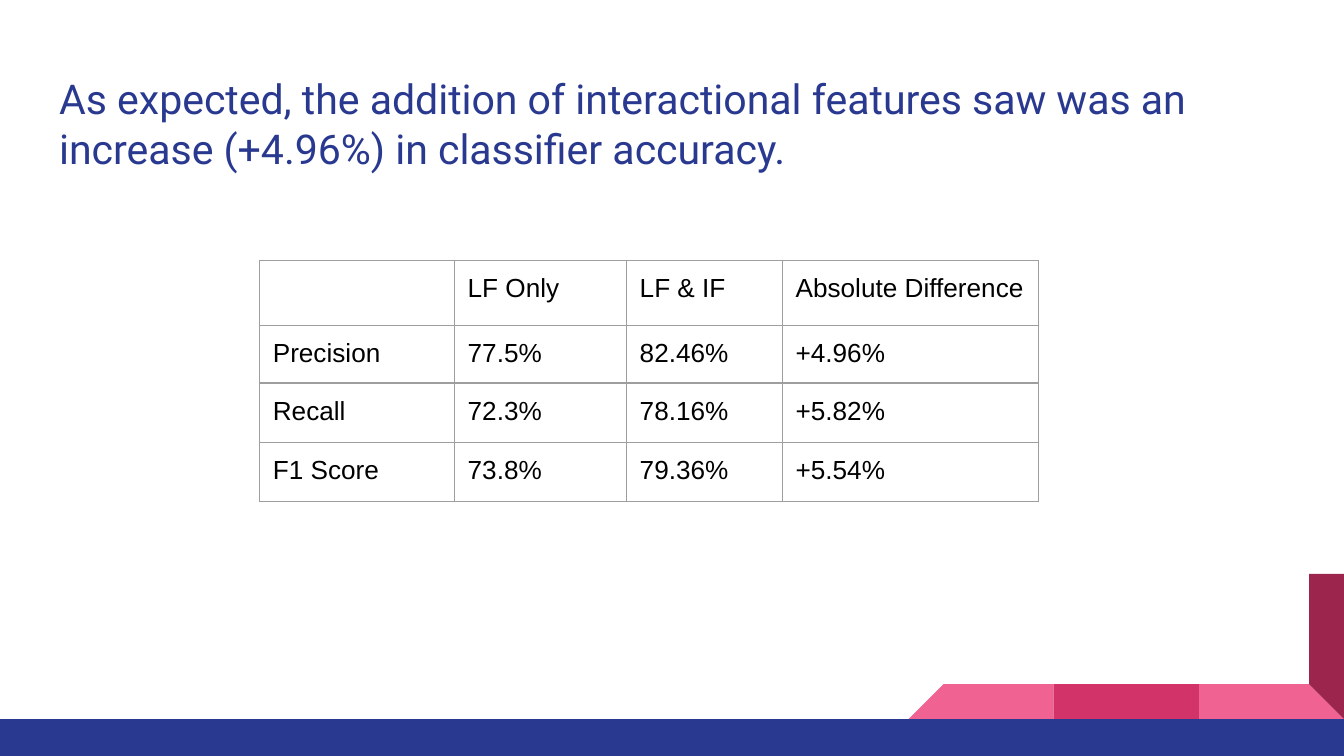
from lxml.etree import SubElement
from pptx import Presentation
from pptx.dml.color import RGBColor
from pptx.enum.shapes import MSO_SHAPE
from pptx.enum.text import MSO_ANCHOR, MSO_AUTO_SIZE, PP_ALIGN
from pptx.oxml.ns import qn
from pptx.util import Inches, Pt

HEADLINE = ("As expected, the addition of interactional features saw was an "
            "increase (+4.96%) in classifier accuracy.")
SCORES = [
    ["", "LF Only", "LF & IF", "Absolute Difference"],
    ["Precision", "77.5%", "82.46%", "+4.96%"],
    ["Recall", "72.3%", "78.16%", "+5.82%"],
    ["F1 Score", "73.8%", "79.36%", "+5.54%"],
]
COLUMN_WIDTHS = [1.45, 1.28, 1.16, 1.91]
ROW_HEIGHTS = [0.48, 0.43, 0.44, 0.44]
COLORS = {"navy": "2A3990", "pink": "F06292", "rose": "D23369", "wine": "9C254D",
          "white": "FFFFFF", "black": "000000", "border": "9E9E9E"}
SLIDE_WIDTH = 10
SLIDE_HEIGHT = SLIDE_WIDTH * 9 / 16
TILE, FOOTER_TOP = 1.08, 5.35
TILES = [
    (1, MSO_SHAPE.RIGHT_TRIANGLE, 0, "pink"),
    (3, MSO_SHAPE.RIGHT_TRIANGLE, 270, "pink"),
    (2, MSO_SHAPE.RECTANGLE, 0, "rose"),
    (1, MSO_SHAPE.RIGHT_TRIANGLE, 180, "wine"),
]


def rgb(name):
    return RGBColor.from_string(COLORS[name])


def add_block(slide, kind, box, color, rotation=0):
    block = slide.shapes.add_shape(kind, *map(Inches, box))
    block.shadow.inherit = False
    block.fill.solid()
    block.fill.fore_color.rgb = rgb(color)
    block.line.fill.background()
    block.rotation = rotation


def write(paragraph, text, font, size, color):
    run = paragraph.add_run()
    run.text = text
    run.font.name = font
    run.font.size = Pt(size)
    run.font.color.rgb = rgb(color)


def add_borders(cell):
    properties = cell._tc.get_or_add_tcPr()
    for position, side in enumerate(("lnL", "lnR", "lnT", "lnB")):
        edge = SubElement(properties, qn(f"a:{side}"), w=str(Pt(0.75)))
        fill = SubElement(edge, qn("a:solidFill"))
        SubElement(fill, qn("a:srgbClr"), val=COLORS["border"])
        properties.insert(position, edge)


def add_headline(slide):
    title = slide.shapes.title
    title.left, title.top, title.width, title.height = map(Inches, (0.34, 0.45, 9.32, 0.66))
    frame = title.text_frame
    frame.word_wrap = True
    frame.auto_size = MSO_AUTO_SIZE.NONE
    frame.vertical_anchor = MSO_ANCHOR.TOP
    frame.margin_left = frame.margin_right = Inches(0.1)
    frame.margin_top = frame.margin_bottom = Inches(0.1)
    frame.paragraphs[0].alignment = PP_ALIGN.LEFT
    write(frame.paragraphs[0], HEADLINE, "Roboto", 22, "navy")


def add_scores(slide):
    size = (sum(COLUMN_WIDTHS), sum(ROW_HEIGHTS))
    table = slide.shapes.add_table(len(SCORES), len(COLUMN_WIDTHS),
                                   *map(Inches, (1.93, 1.94, *size))).table
    table.first_row = table.horz_banding = False
    for column, width in zip(table.columns, COLUMN_WIDTHS):
        column.width = Inches(width)
    for row, height, values in zip(table.rows, ROW_HEIGHTS, SCORES):
        row.height = Inches(height)
        for cell, value in zip(row.cells, values):
            cell.fill.background()
            cell.margin_left = cell.margin_right = Inches(0.1)
            cell.margin_top = cell.margin_bottom = Inches(0.1)
            add_borders(cell)
            paragraph = cell.text_frame.paragraphs[0]
            if value:
                write(paragraph, value, "Arial", 14, "black")
            else:
                ending = SubElement(paragraph._p, qn("a:endParaRPr"), sz="1400")
                SubElement(ending, qn("a:latin"), typeface="Arial")


def main():
    deck = Presentation()
    deck.slide_width, deck.slide_height = Inches(SLIDE_WIDTH), Inches(SLIDE_HEIGHT)
    slide = deck.slides.add_slide(deck.slide_layouts[5])
    slide.background.fill.solid()
    slide.background.fill.fore_color.rgb = rgb("white")

    for steps_from_right, kind, rotation, color in TILES:
        box = (SLIDE_WIDTH - steps_from_right * TILE, FOOTER_TOP - TILE, TILE, TILE)
        add_block(slide, kind, box, color, rotation)
    footer = (0, FOOTER_TOP, SLIDE_WIDTH, SLIDE_HEIGHT - FOOTER_TOP)
    add_block(slide, MSO_SHAPE.RECTANGLE, footer, "navy")
    add_headline(slide)
    add_block(slide, MSO_SHAPE.RECTANGLE, (6.87, 4.02, 2.87, 1.07), "white")
    add_scores(slide)
    deck.save("out.pptx")


if __name__ == "__main__":
    main()
